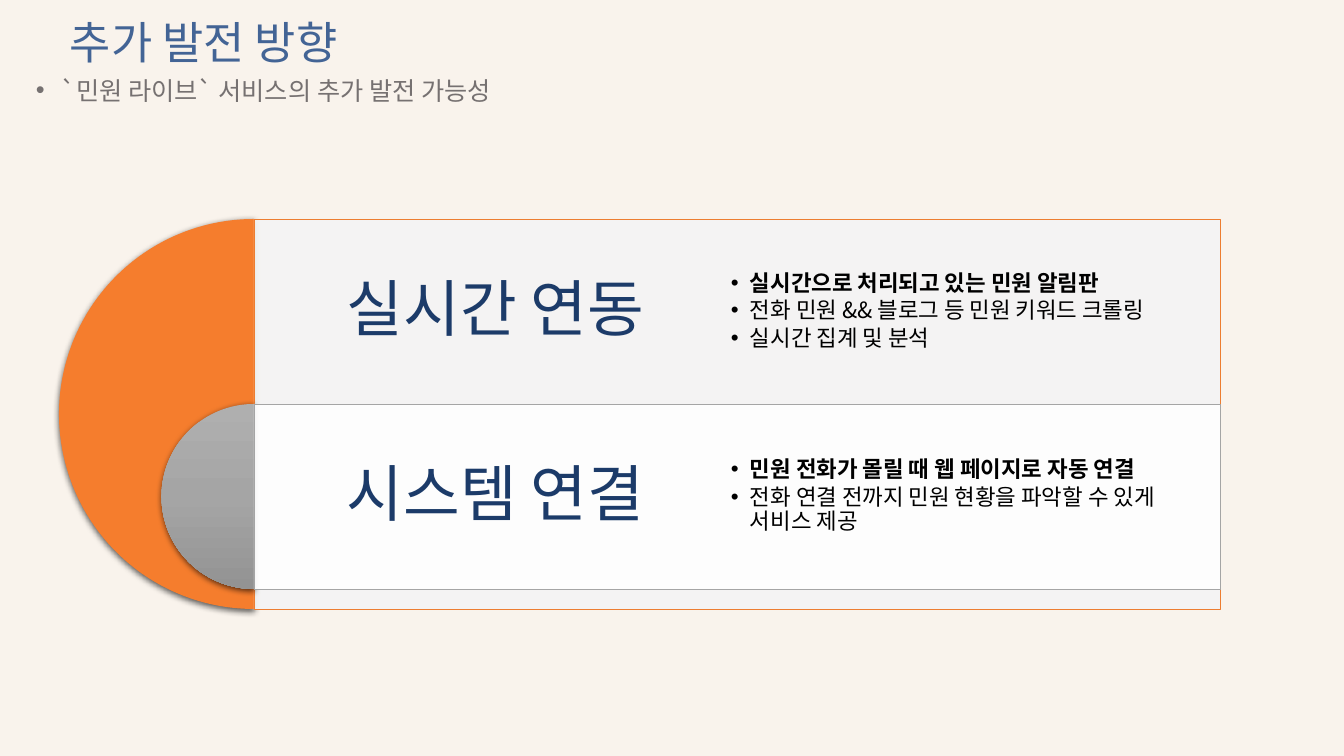
from copy import deepcopy
from dataclasses import dataclass

from lxml.etree import SubElement
from pptx import Presentation
from pptx.dml.color import RGBColor
from pptx.enum.shapes import MSO_SHAPE
from pptx.enum.text import MSO_ANCHOR, PP_ALIGN
from pptx.oxml.ns import qn
from pptx.util import Pt

EMU_PER_PX = 914400 / 100.8


@dataclass(frozen=True)
class Theme:
    font: str = "Noto Sans CJK KR"
    title_size: int = 32
    subtitle_size: int = 18
    heading_size: int = 44
    detail_size: int = 16
    background: str = "F9F3EC"
    title: str = "436495"
    subtitle: str = "767171"
    heading: str = "1C3B69"
    detail: str = "000000"
    orange: str = "F57D2D"
    orange_line: str = "ED7D31"
    gray_line: str = "A5A5A5"
    gray_stops: tuple = ("AFAFAF", "A5A5A5", "939393")
    outer_panel: str = "F4F4F4"
    inner_panel: str = "FFFFFF"
    shadow: str = "000000"


THEME = Theme()

AXIS_X, PANEL_RIGHT = 254, 1220
PANEL_TOP, ROW_HEIGHT, PANEL_HEIGHT = 219, 185, 390
DETAIL_X, DETAIL_WIDTH = 704, 532
HEADING_INSET, HEADING_RIGHT_INSET = 18, 501

ROWS = (
    ("실시간 연동", (
        "실시간으로 처리되고 있는 민원 알림판",
        "전화 민원 && 블로그 등 민원 키워드 크롤링",
        "실시간 집계 및 분석",
    )),
    ("시스템 연결", (
        "민원 전화가 몰릴 때 웹 페이지로 자동 연결",
        "전화 연결 전까지 민원 현황을 파악할 수 있게 서비스 제공",
    )),
)


def px(length):
    return round(length * EMU_PER_PX)


def rgb(color):
    return RGBColor.from_string(color)


def add_run(paragraph, text, size, color, bold=False):
    run = paragraph.add_run()
    run.text = text
    run.font.size = Pt(size)
    run.font.bold = bold
    run.font.color.rgb = rgb(color)
    run.font.name = THEME.font
    SubElement(run.font._element, qn("a:ea"), typeface=THEME.font)


def add_bullet(paragraph, indent):
    properties = paragraph._p.get_or_add_pPr()
    properties.set("marL", str(px(indent)))
    properties.set("indent", str(-px(indent)))
    SubElement(properties, qn("a:buFont"), typeface="Arial")
    SubElement(properties, qn("a:buChar"), char="•")


def set_insets(frame, left, top, right, bottom):
    frame.margin_left, frame.margin_top = px(left), px(top)
    frame.margin_right, frame.margin_bottom = px(right), px(bottom)


def add_text_frame(slide, left, top, width, height, wrap=True):
    box = slide.shapes.add_textbox(px(left), px(top), px(width), px(height))
    box.text_frame.word_wrap = wrap
    return box.text_frame


def add_title(slide, text):
    frame = add_text_frame(slide, 60, 2, 1159, 87)
    frame.vertical_anchor = MSO_ANCHOR.MIDDLE
    frame.paragraphs[0].line_spacing = 0.9
    add_run(frame.paragraphs[0], text, THEME.title_size, THEME.title)


def add_subtitle(slide, text):
    frame = add_text_frame(slide, 26, 70, 499, 40, wrap=False)
    add_bullet(frame.paragraphs[0], 25)
    add_run(frame.paragraphs[0], text, THEME.subtitle_size, THEME.subtitle)


def add_shadow(shape):
    shape.shadow.inherit = False
    effects = shape._element.spPr.find(qn("a:effectLst"))
    shadow = SubElement(effects, qn("a:outerShdw"), blurRad=str(Pt(4.5)),
                        dist=str(Pt(1.5)), dir="5400000", algn="ctr", rotWithShape="0")
    color = SubElement(shadow, qn("a:srgbClr"), val=THEME.shadow)
    SubElement(color, qn("a:alpha"), val="63000")


def add_half_disc(slide, top, diameter):
    """Draw the left half of a disc whose flat side lies on the panel edge."""
    disc = slide.shapes.add_shape(MSO_SHAPE.PIE, px(AXIS_X - diameter / 2), px(top),
                                  px(diameter), px(diameter))
    disc.adjustments[0], disc.adjustments[1] = 54.0, 162.0
    disc.line.fill.background()
    add_shadow(disc)
    return disc


def fill_gradient(shape, colors):
    """Fill from top to bottom with three evenly spaced colours."""
    shape.fill.gradient()
    shape.fill.gradient_angle = 270
    stops = shape._element.spPr.find(qn("a:gradFill")).find(qn("a:gsLst"))
    stops.insert(1, deepcopy(stops[0]))
    for index, (stop, color) in enumerate(zip(shape.fill.gradient_stops, colors)):
        stop.position = index / 2
        stop.color.rgb = rgb(color)


def add_panel(slide, top, height, heading, fill, line):
    panel = slide.shapes.add_shape(MSO_SHAPE.RECTANGLE, px(AXIS_X), px(top),
                                   px(PANEL_RIGHT - AXIS_X), px(height))
    panel.shadow.inherit = False
    panel.fill.solid()
    panel.fill.fore_color.rgb = rgb(fill)
    color = panel._element.spPr.find(qn("a:solidFill"))[0]
    SubElement(color, qn("a:alpha"), val="90000")
    panel.line.color.rgb = rgb(line)
    panel.line.width = Pt(0.5)

    frame = panel.text_frame
    frame.word_wrap = True
    frame.vertical_anchor = MSO_ANCHOR.MIDDLE
    set_insets(frame, HEADING_INSET, HEADING_INSET, HEADING_RIGHT_INSET,
               HEADING_INSET + height - ROW_HEIGHT)
    paragraph = frame.paragraphs[0]
    paragraph.alignment = PP_ALIGN.CENTER
    paragraph.line_spacing = 0.9
    add_run(paragraph, heading, THEME.heading_size, THEME.heading)


def add_details(slide, top, details):
    frame = add_text_frame(slide, DETAIL_X, top, DETAIL_WIDTH, ROW_HEIGHT)
    frame.vertical_anchor = MSO_ANCHOR.MIDDLE
    set_insets(frame, 27, 27, 27, 27)
    for index, detail in enumerate(details):
        paragraph = frame.add_paragraph() if index else frame.paragraphs[0]
        add_bullet(paragraph, 19)
        paragraph.line_spacing = 0.9
        paragraph.space_after = Pt(0.15 * THEME.detail_size)
        add_run(paragraph, detail, THEME.detail_size, THEME.detail, bold=index == 0)


def main():
    presentation = Presentation()
    presentation.slide_width, presentation.slide_height = px(1344), px(756)
    slide = presentation.slides.add_slide(presentation.slide_layouts[6])
    slide.background.fill.solid()
    slide.background.fill.fore_color.rgb = rgb(THEME.background)

    add_title(slide, "추가 발전 방향")

    (live_heading, live_details), (link_heading, link_details) = ROWS
    link_top = PANEL_TOP + ROW_HEIGHT

    outer_disc = add_half_disc(slide, PANEL_TOP, PANEL_HEIGHT)
    outer_disc.fill.solid()
    outer_disc.fill.fore_color.rgb = rgb(THEME.orange)
    add_panel(slide, PANEL_TOP, PANEL_HEIGHT, live_heading,
              THEME.outer_panel, THEME.orange_line)

    inner_disc = add_half_disc(slide, link_top, ROW_HEIGHT)
    fill_gradient(inner_disc, THEME.gray_stops)
    add_panel(slide, link_top, ROW_HEIGHT, link_heading,
              THEME.inner_panel, THEME.gray_line)

    add_details(slide, PANEL_TOP, live_details)
    add_details(slide, link_top, link_details)
    add_subtitle(slide, "`민원 라이브` 서비스의 추가 발전 가능성")

    presentation.save("out.pptx")


if __name__ == "__main__":
    main()
